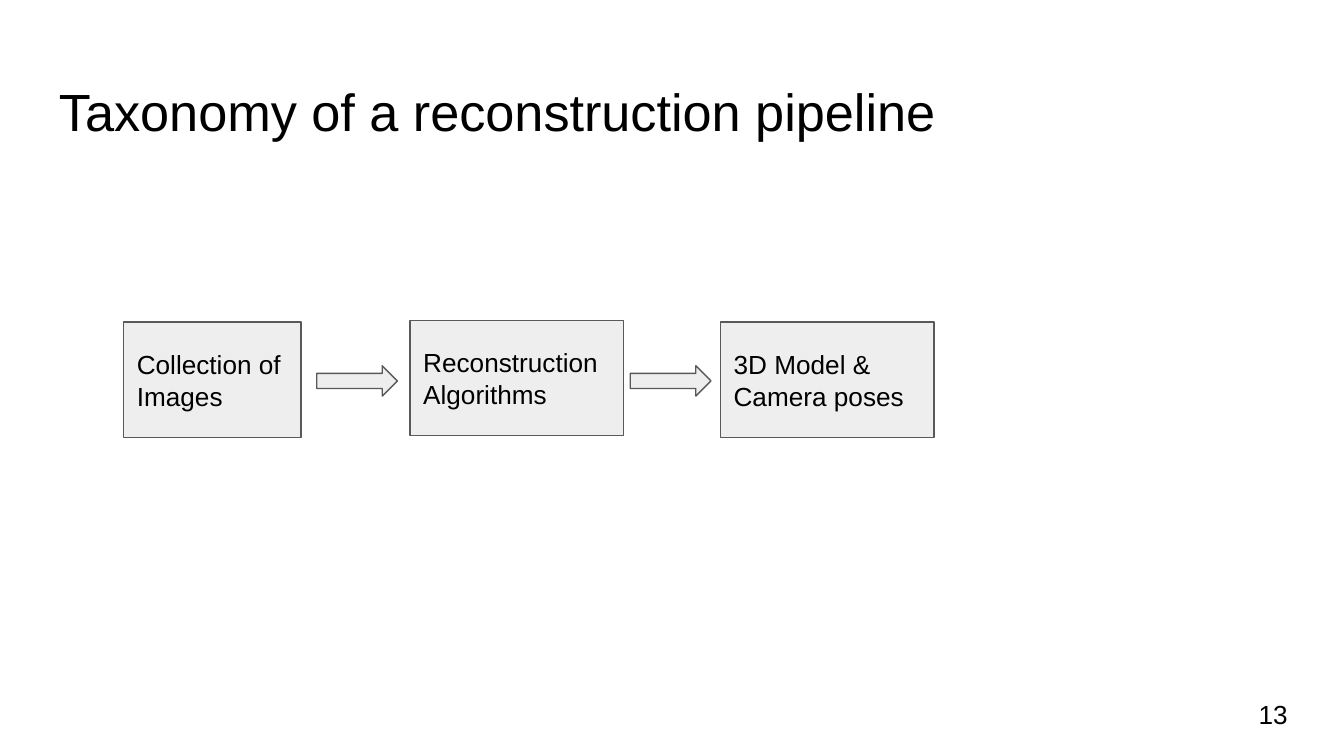
from pptx import Presentation
from pptx.dml.color import RGBColor
from pptx.enum.shapes import MSO_SHAPE
from pptx.enum.text import MSO_ANCHOR, PP_ALIGN
from pptx.util import Pt

BLACK = RGBColor(0x00, 0x00, 0x00)
LIGHT = RGBColor(0xEE, 0xEE, 0xEE)
GRAY = RGBColor(0x59, 0x59, 0x59)

deck = Presentation()
deck.slide_width, deck.slide_height = Pt(720), Pt(405)
slide = deck.slides.add_slide(deck.slide_layouts[6])


def write(shape, text, size=14, anchor=MSO_ANCHOR.MIDDLE):
    frame = shape.text_frame
    frame.word_wrap = True
    frame.vertical_anchor = anchor
    frame.margin_left = frame.margin_right = Pt(7.2)
    frame.margin_top = frame.margin_bottom = Pt(7.2)
    frame.text = text
    for para in frame.paragraphs:
        para.alignment = PP_ALIGN.LEFT
        para.font.name = "Arial"
        para.font.size = Pt(size)
        para.font.color.rgb = BLACK


def draw(kind, left, top, width, height):
    shape = slide.shapes.add_shape(kind, Pt(left), Pt(top), Pt(width), Pt(height))
    shape.shadow.inherit = False
    shape.fill.solid()
    shape.fill.fore_color.rgb = LIGHT
    shape.line.color.rgb = GRAY
    shape.line.width = Pt(0.75)
    return shape


# Title and page number
title = slide.shapes.add_textbox(Pt(24.5), Pt(35.3), Pt(671), Pt(48.2))
write(title, "Taxonomy of a reconstruction pipeline", size=28, anchor=MSO_ANCHOR.TOP)
page = slide.shapes.add_textbox(Pt(667.2), Pt(367.2), Pt(43.2), Pt(31))
write(page, "13")

# Pipeline stages
stages = [
    ("Collection of\nImages", 66.2, 172.6, 95),
    ("Reconstruction\nAlgorithms", 219.6, 171.6, 114.5),
    ("3D Model &\nCamera poses", 385.9, 172.6, 114.5),
]
for text, left, top, width in stages:
    write(draw(MSO_SHAPE.RECTANGLE, left, top, width, 61.9), text)

# Arrows between stages
for left in (169.7, 337.7):
    draw(MSO_SHAPE.RIGHT_ARROW, left, 196, 43.2, 16.2)

deck.save("out.pptx")
